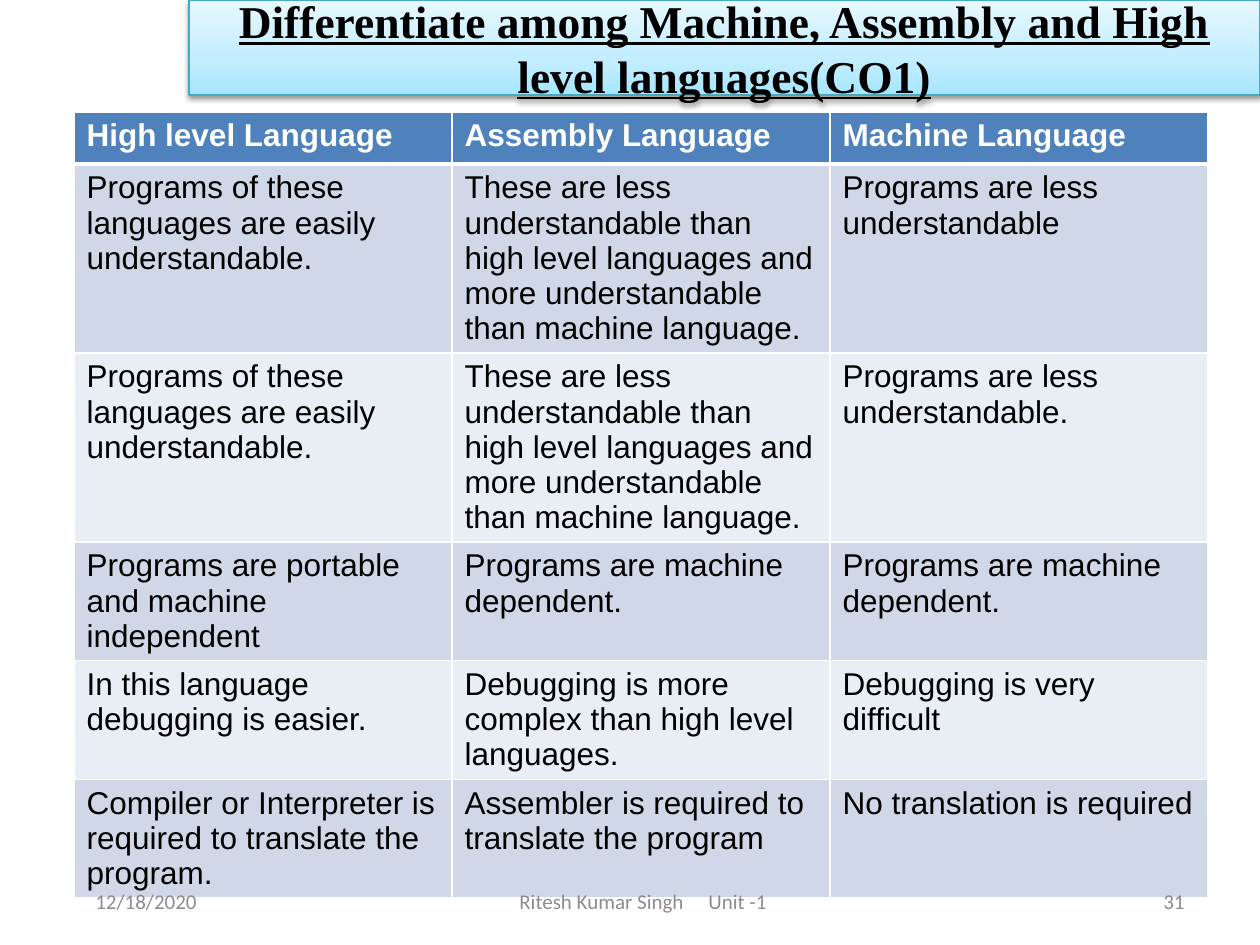
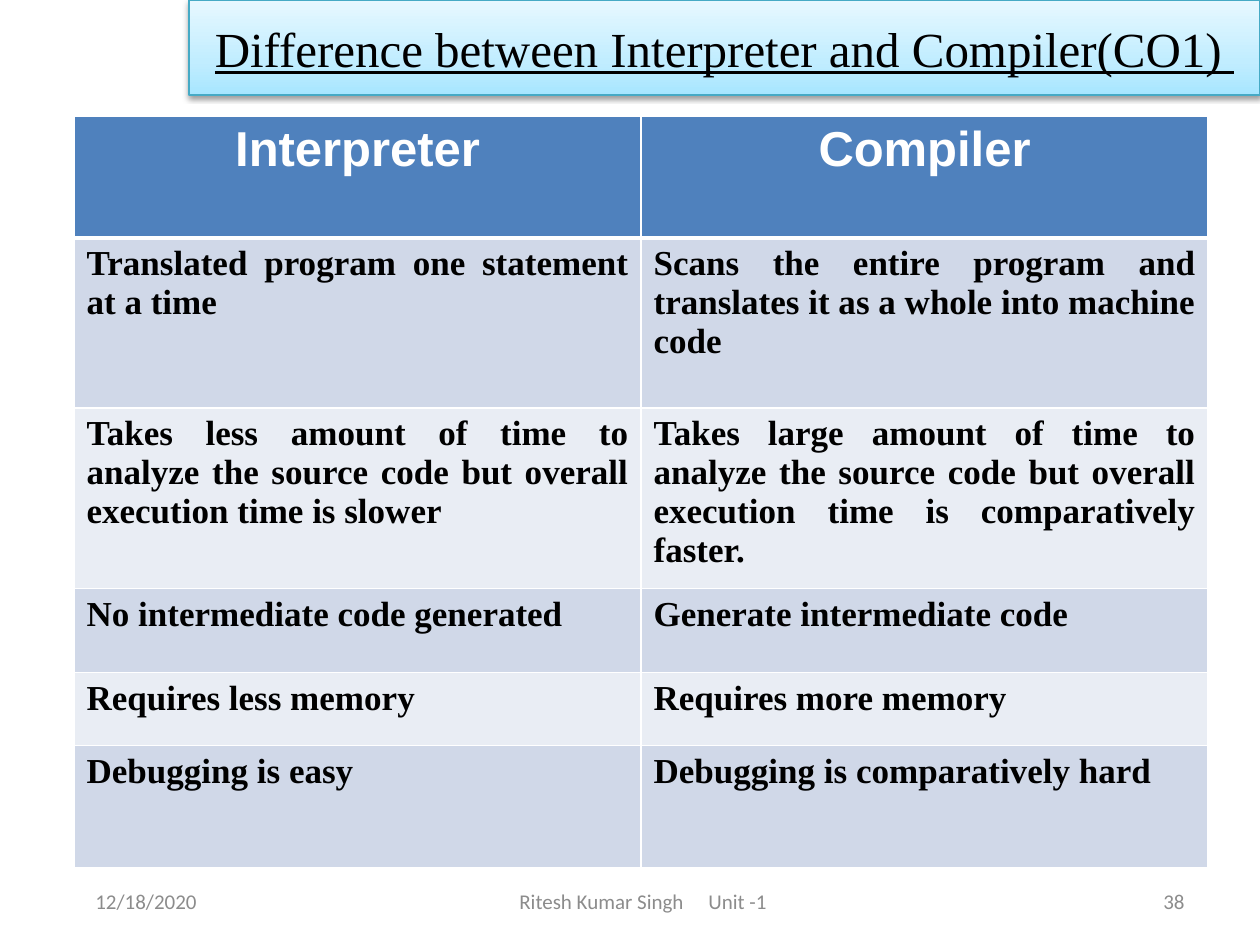
import pptx
import pptx.dml.color
import pptx.enum.shapes
import pptx.enum.text
import pptx.oxml
import pptx.oxml.ns
import pptx.util

PIXEL = 914400 / 126
ALIGN = pptx.enum.text.PP_ALIGN
COLORS = {
    "black": "000000", "white": "FFFFFF", "header": "4F81BD",
    "band_dark": "D0D8E8", "band_light": "E9EDF4", "band_line": "46AAC5",
    "footer": "8C8C8C",
}
TITLE_STOPS = [(0, "A7E6FF"), (35, "C1EDFF"), (100, "E7F8FF")]
SERIF, SANS, FOOTER_FONT = "Times New Roman", "Arial", "Calibri"
TABLE_LEFT, TABLE_WIDTH = 74, 1134
TITLE_BOX = (189, 0, 1071, 95)
FOOTER_TOP, FOOTER_HEIGHT = 876, 50
DATE, AUTHOR, UNIT = "12/18/2020", "Ritesh Kumar Singh", "Unit -1"

SLIDES = [
    {
        "title": "Differentiate among Machine, Assembly and High level languages(CO1)",
        "title_style": {"size": 26, "bold": True},
        "number": "31",
        "table_top": 112,
        "row_heights": [52, 188, 189, 118, 119, 118],
        "header_style": {"size": 18, "font": SANS, "bold": True},
        "body_style": {"size": 18, "font": SANS},
        "header_align": ALIGN.LEFT,
        "body_align": ALIGN.LEFT,
        "rows": [
            ("High level Language", "Assembly Language", "Machine Language"),
            ("Programs of these languages are easily understandable.",
             "These are less understandable than high level languages and more "
             "understandable than machine language.",
             "Programs are less understandable"),
            ("Programs of these languages are easily understandable.",
             "These are less understandable than high level languages and more "
             "understandable than machine language.",
             "Programs are less understandable."),
            ("Programs are portable and machine independent",
             "Programs are machine dependent.",
             "Programs are machine dependent."),
            ("In this language debugging is easier.",
             "Debugging is more complex than high level languages.",
             "Debugging is very difficult"),
            ("Compiler or Interpreter is required to translate the program.",
             "Assembler is required to translate the program",
             "No translation is required"),
        ],
    },
    {
        "title": "Difference between Interpreter and Compiler(CO1) ",
        "title_style": {"size": 28},
        "number": "38",
        "table_top": 116,
        "row_heights": [122, 170, 180, 84, 73, 122],
        "header_style": {"size": 28, "font": SANS, "bold": True},
        "body_style": {"size": 20, "font": SERIF, "bold": True},
        "header_align": ALIGN.CENTER,
        "body_align": ALIGN.JUSTIFY,
        "rows": [
            ("Interpreter", "Compiler"),
            ("Translated program one statement at a time",
             "Scans the entire program and translates it as a whole into machine code"),
            ("Takes less amount of time to analyze the source code but overall "
             "execution time is slower",
             "Takes large amount of time to analyze the source code but overall "
             "execution time is comparatively faster."),
            ("No intermediate code generated", "Generate intermediate code"),
            ("Requires less memory", "Requires more memory"),
            ("Debugging is easy", "Debugging is comparatively hard"),
        ],
    },
]


def px(length):
    return pptx.util.Emu(round(length * PIXEL))


def rgb(name):
    return pptx.dml.color.RGBColor.from_string(COLORS[name])


def drawing_xml(text):
    """Parse one element of the DrawingML namespace, written with prefix a."""
    head, rest = text.split(">", 1)
    namespace = pptx.oxml.ns.nsdecls("a")
    return pptx.oxml.parse_xml(f"{head} {namespace}>{rest}")


def write(text_frame, text, align, size, font, color="black", bold=False, underline=False):
    paragraph = text_frame.paragraphs[0]
    paragraph.alignment = align
    run = paragraph.add_run()
    run.text = text
    run.font.size = pptx.util.Pt(size)
    run.font.name = font
    run.font.bold = bold
    run.font.underline = underline
    run.font.color.rgb = rgb(color)
    return paragraph


def add_title(slide, text, style):
    shape = slide.shapes.add_shape(
        pptx.enum.shapes.MSO_SHAPE.RECTANGLE, *map(px, TITLE_BOX))
    shape.shadow.inherit = False
    shape.line.color.rgb = rgb("band_line")
    shape.line.width = pptx.util.Pt(0.75)

    shape.fill.gradient()
    shape.fill.gradient_angle = 90
    gradient = shape._element.spPr.find(pptx.oxml.ns.qn("a:gradFill"))
    stops = "".join(
        f'<a:gs pos="{position * 1000}"><a:srgbClr val="{color}"/></a:gs>'
        for position, color in TITLE_STOPS)
    gradient.replace(gradient.find(pptx.oxml.ns.qn("a:gsLst")),
                     drawing_xml(f"<a:gsLst>{stops}</a:gsLst>"))
    gradient.find(pptx.oxml.ns.qn("a:lin")).set("ang", "16200000")

    effects = shape._element.spPr.find(pptx.oxml.ns.qn("a:effectLst"))
    effects.append(drawing_xml(
        '<a:outerShdw blurRad="40000" dist="20000" dir="5400000" rotWithShape="0">'
        f'<a:srgbClr val="{COLORS["black"]}"><a:alpha val="38000"/></a:srgbClr>'
        "</a:outerShdw>"))

    shape.text_frame.word_wrap = True
    shape.text_frame.vertical_anchor = pptx.enum.text.MSO_ANCHOR.MIDDLE
    write(shape.text_frame, text, ALIGN.CENTER, font=SERIF, underline=True, **style)


def set_borders(cell, bottom_points):
    properties = cell._tc.get_or_add_tcPr()
    points = {"lnL": 1, "lnR": 1, "lnT": 1, "lnB": bottom_points}
    for index, (side, width) in enumerate(points.items()):
        properties.insert(index, drawing_xml(
            f'<a:{side} w="{width * 12700}"><a:solidFill>'
            f'<a:srgbClr val="{COLORS["white"]}"/></a:solidFill></a:{side}>'))


def add_comparison(slide, content):
    rows, heights = content["rows"], content["row_heights"]
    columns = len(rows[0])
    table = slide.shapes.add_table(
        len(rows), columns, px(TABLE_LEFT), px(content["table_top"]),
        px(TABLE_WIDTH), px(sum(heights))).table
    table.horz_banding = False
    for column in table.columns:
        column.width = px(TABLE_WIDTH / columns)
    for row_index, (texts, height) in enumerate(zip(rows, heights)):
        table.rows[row_index].height = px(height)
        is_header = row_index == 0
        part = "header" if is_header else "body"
        fill = "header" if is_header else ("band_light", "band_dark")[row_index % 2]
        for column_index, text in enumerate(texts):
            cell = table.cell(row_index, column_index)
            cell.fill.solid()
            cell.fill.fore_color.rgb = rgb(fill)
            set_borders(cell, 3 if is_header else 1)
            write(cell.text_frame, text, content[f"{part}_align"],
                  color="white" if is_header else "black", **content[f"{part}_style"])


def add_footer(slide, number):
    parts = [
        (83, 289, DATE, ALIGN.LEFT),
        (346, 693, f"{AUTHOR}\t{UNIT}", ALIGN.LEFT),
        (903, 294, number, ALIGN.RIGHT),
    ]
    for left, width, text, align in parts:
        box = slide.shapes.add_textbox(px(left), px(FOOTER_TOP), px(width), px(FOOTER_HEIGHT))
        box.text_frame.word_wrap = True
        box.text_frame.vertical_anchor = pptx.enum.text.MSO_ANCHOR.MIDDLE
        paragraph = write(box.text_frame, text, align, 12, FOOTER_FONT, "footer")
        if "\t" in text:
            properties = paragraph._p.get_or_add_pPr()
            properties.set("marL", str(px(161)))
            properties.set("indent", "0")
            properties.append(drawing_xml(
                f'<a:tabLst><a:tab pos="{px(448)}" algn="l"/></a:tabLst>'))


def main():
    presentation = pptx.Presentation()
    presentation.slide_width, presentation.slide_height = px(1260), px(945)
    for content in SLIDES:
        slide = presentation.slides.add_slide(presentation.slide_layouts[6])
        add_comparison(slide, content)
        add_footer(slide, content["number"])
        add_title(slide, content["title"], content["title_style"])
    presentation.save("out.pptx")


if __name__ == "__main__":
    main()
